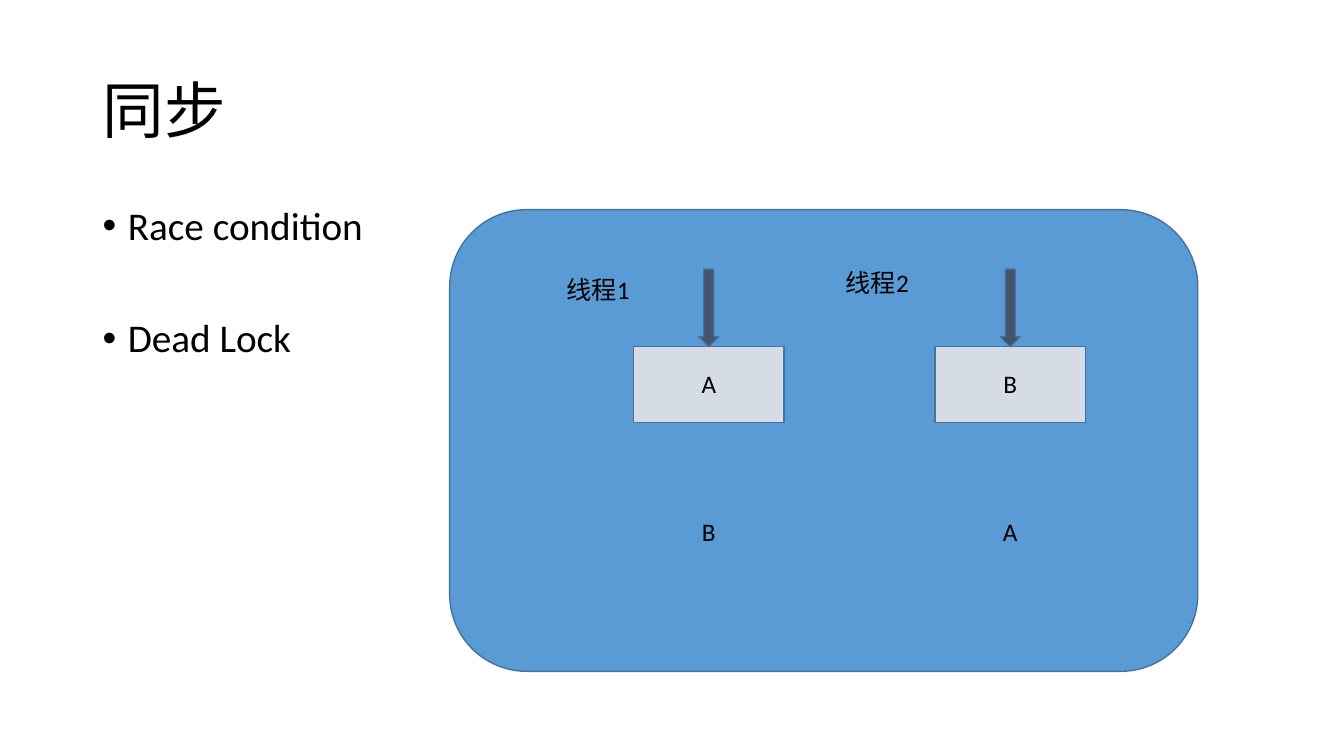
"""Build a slide on thread synchronisation with two threads locking A and B."""
from dataclasses import dataclass

import pptx
import pptx.dml.color
import pptx.enum.shapes
import pptx.enum.text
import pptx.util
from lxml import etree

Inches = pptx.util.Inches
Pt = pptx.util.Pt
SHAPES = pptx.enum.shapes.MSO_SHAPE
ALIGN = pptx.enum.text.PP_ALIGN
ANCHOR = pptx.enum.text.MSO_ANCHOR
FIT = pptx.enum.text.MSO_AUTO_SIZE


@dataclass(frozen=True)
class Theme:
    font: str = "Calibri"
    text: str = "000000"
    panel: str = "5B9BD5"
    resource: str = "D6DCE5"
    arrow: str = "44546A"
    outline: str = "43739E"
    title_size: int = 44
    body_size: int = 28
    label_size: int = 18


class SlideBuilder:
    def __init__(self, deck, theme):
        self.theme = theme
        self.slide = deck.slides.add_slide(deck.slide_layouts[5])

    def color(self, value):
        return pptx.dml.color.RGBColor.from_string(value)

    def place(self, item, area):
        item.left, item.top, item.width, item.height = map(Inches, area)

    def style(self, para, size, align=ALIGN.LEFT):
        para.alignment = align
        for span in para.runs:
            span.font.name = self.theme.font
            span.font.size = Pt(size)
            span.font.color.rgb = self.color(self.theme.text)

    def title(self, text, area):
        box = self.slide.shapes.title
        self.place(box, area)
        frame = box.text_frame
        frame.text = text
        frame.auto_size = FIT.NONE
        frame.vertical_anchor = ANCHOR.MIDDLE
        para = frame.paragraphs[0]
        para.line_spacing = 0.9
        self.style(para, self.theme.title_size)

    def bullets(self, items, area, gap):
        box = self.slide.shapes.add_textbox(*map(Inches, area))
        frame = box.text_frame
        frame.word_wrap = True
        for index, item in enumerate(items):
            para = frame.add_paragraph() if index else frame.paragraphs[0]
            para.text = item
            para.line_spacing = 0.9
            if index:
                para.space_before = Pt(gap)
            properties = para._p.get_or_add_pPr()
            properties.set("marL", str(Inches(0.25)))
            properties.set("indent", str(Inches(-0.25)))
            namespace = properties.nsmap["a"]
            etree.SubElement(properties, f"{{{namespace}}}buFont", typeface="Arial")
            etree.SubElement(properties, f"{{{namespace}}}buChar", char="•")
            self.style(para, self.theme.body_size)

    def shape(self, kind, area, fill):
        shape = self.slide.shapes.add_shape(kind, *map(Inches, area))
        shape.shadow.inherit = False
        shape.fill.solid()
        shape.fill.fore_color.rgb = self.color(fill)
        shape.line.color.rgb = self.color(self.theme.outline)
        shape.line.width = Pt(1)

    def label(self, text, area, align=ALIGN.LEFT):
        box = self.slide.shapes.add_textbox(*map(Inches, area))
        frame = box.text_frame
        frame.word_wrap = True
        frame.auto_size = FIT.SHAPE_TO_FIT_TEXT
        frame.text = text
        self.style(frame.paragraphs[0], self.theme.label_size, align)

    def thread(self, name, name_area, center, held, wanted):
        self.shape(SHAPES.RECTANGLE, (center - 0.745, 3.44, 1.49, 0.75), self.theme.resource)
        self.shape(SHAPES.DOWN_ARROW, (center - 0.1, 2.67, 0.2, 0.77), self.theme.arrow)
        for text, top in ((held, 3.61), (wanted, 5.07)):
            self.label(text, (center - 0.44, top, 0.88, 0.4), ALIGN.CENTER)
        self.label(name, name_area)


def main():
    deck = pptx.Presentation()
    deck.slide_width = Inches(13.33)
    deck.slide_height = Inches(7.5)
    theme = Theme()
    page = SlideBuilder(deck, theme)
    page.title("同步", (0.92, 0.4, 11.5, 1.45))
    page.bullets(["Race condition", "Dead Lock"], (0.92, 2, 11.5, 4.76), gap=50)
    page.shape(SHAPES.ROUNDED_RECTANGLE, (4.46, 2.08, 7.42, 4.58), theme.panel)
    page.thread("线程1", (5.52, 2.67, 1.29, 0.4), 7.03, "A", "B")
    page.thread("线程2", (8.29, 2.6, 1.17, 0.4), 10.02, "B", "A")
    deck.save("out.pptx")


if __name__ == "__main__":
    main()
